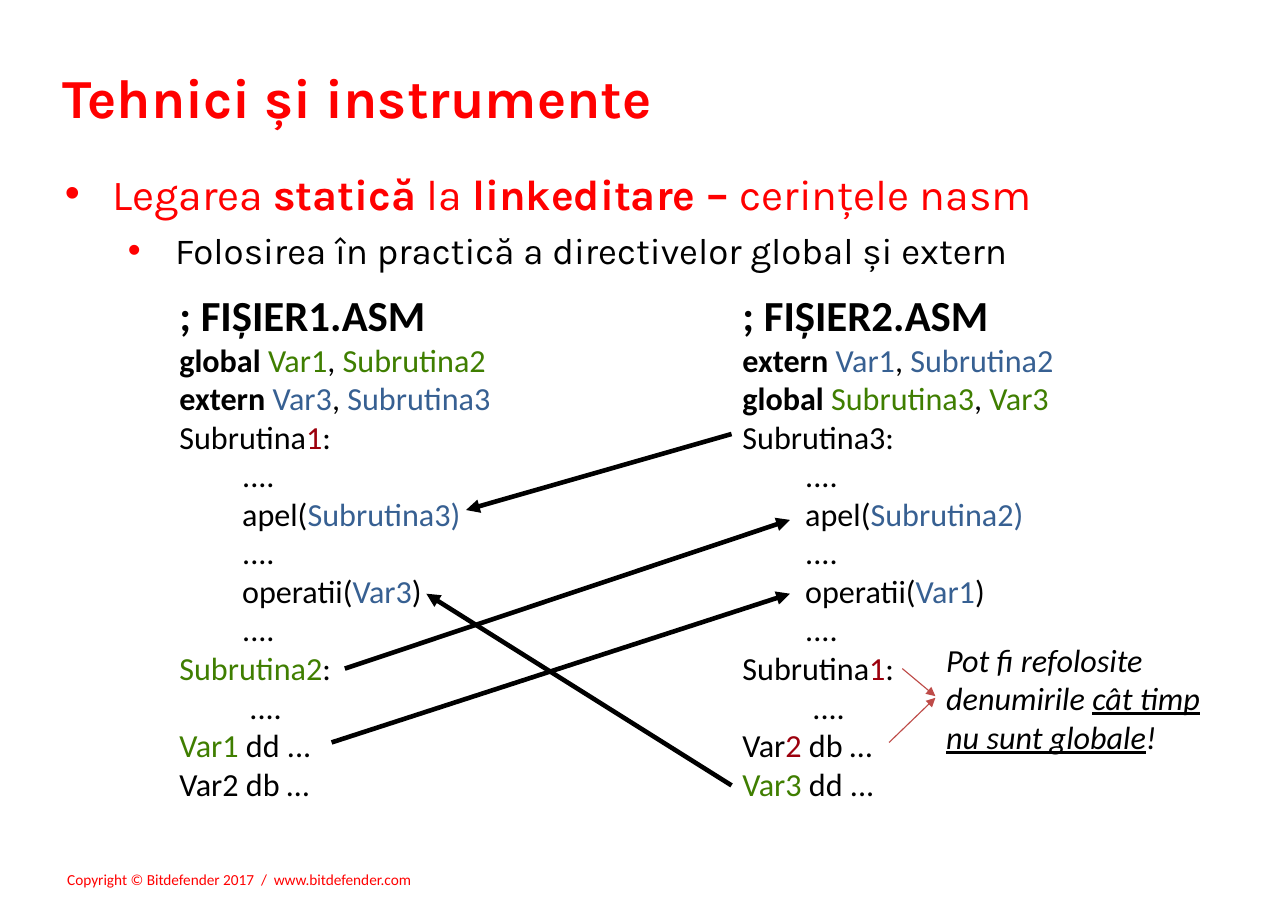
from lxml.etree import SubElement
from pptx import Presentation
from pptx.dml.color import RGBColor
from pptx.enum.shapes import MSO_CONNECTOR
from pptx.enum.text import MSO_ANCHOR, MSO_AUTO_SIZE, PP_ALIGN
from pptx.oxml.ns import qn
from pptx.util import Inches, Pt

RED, BLACK, GREEN, BLUE, DARK_RED, ROSE = "FF0000", "000000", "3F7E00", "376092", "9C000D", "BE4B48"


def add_run(p, text, size=21, color=BLACK, font="Calibri", bold=False, italic=False, underline=False):
    r = p.add_run()
    r.text = text
    f = r.font
    f.size, f.name, f.bold, f.italic, f.underline = Pt(size), font, bold, italic, underline
    f.color.rgb = RGBColor.from_string(color)


def add_box(left, top, width, height, wrap=True):
    sp = s.shapes.add_textbox(Inches(left), Inches(top), Inches(width), Inches(height))
    sp.text_frame.word_wrap = wrap
    return sp


prs = Presentation()
prs.slide_width, prs.slide_height = Inches(11.69), Inches(8.27)
s = prs.slides.add_slide(prs.slide_layouts[1])

title = s.shapes.title
title.left, title.top, title.width, title.height = Inches(0.47), Inches(0.48), Inches(8.9), Inches(0.79)
title.text_frame.vertical_anchor = MSO_ANCHOR.MIDDLE
title.text_frame.auto_size = MSO_AUTO_SIZE.NONE
p = title.text_frame.paragraphs[0]
p.alignment = PP_ALIGN.LEFT
add_run(p, "Tehnici și instrumente", size=36, color=RED, font="Karla", bold=True)

body = s.placeholders[1]
body.left, body.top, body.width, body.height = Inches(0.48), Inches(1.46), Inches(10.17), Inches(1.51)
tf = body.text_frame
tf.auto_size = MSO_AUTO_SIZE.NONE
tf.margin_left = tf.margin_right = Inches(0.11)
tf.margin_top = tf.margin_bottom = Inches(0.06)
bullets = [
    (0, 0.43, 0, 28, RED, [("Legarea ", False), ("statică", True), (" la ", False),
                           ("linkeditare – ", True), ("cerințele nasm", False)]),
    (1, 1, 6, 24, BLACK, [("Folosirea în practică a directivelor global și extern", False)]),
]
for i, (level, indent, before, size, color, runs) in enumerate(bullets):
    p = tf.add_paragraph() if i else tf.paragraphs[0]
    p.level = level
    p.space_before = Pt(before)
    pPr = p._p.get_or_add_pPr()
    pPr.set("marL", str(Inches(indent)))
    pPr.set("indent", str(Inches(-0.43)))
    SubElement(SubElement(pPr, qn("a:buClr")), qn("a:srgbClr")).set("val", RED)
    SubElement(pPr, qn("a:buChar")).set("char", "•")
    for text, bold in runs:
        add_run(p, text, size=size, color=color, font="Karla", bold=bold)

dots = [("\t....", BLACK)]
files = [
    (1.53, "; FIȘIER1.ASM", [
        [("global ", BLACK), ("Var1", GREEN), (", ", BLACK), ("Subrutina2", GREEN)],
        [("extern ", BLACK), ("Var3", BLUE), (", ", BLACK), ("Subrutina3", BLUE)],
        [("Subrutina", BLACK), ("1", DARK_RED), (":", BLACK)],
        dots,
        [("\tapel(", BLACK), ("Subrutina3)", BLUE)],
        dots,
        [("\toperatii(", BLACK), ("Var3", BLUE), (")", BLACK)],
        dots,
        [("Subrutina2", GREEN), (":", BLACK)],
        [("\t ....", BLACK)],
        [("Var1", GREEN), (" dd ...", BLACK)],
        [("Var2 db …", BLACK)],
    ]),
    (6.64, "; FIȘIER2.ASM", [
        [("extern ", BLACK), ("Var1", BLUE), (", ", BLACK), ("Subrutina2", BLUE)],
        [("global ", BLACK), ("Subrutina3", GREEN), (", ", BLACK), ("Var3", GREEN)],
        [("Subrutina3:", BLACK)],
        dots,
        [("\tapel(", BLACK), ("Subrutina2)", BLUE)],
        dots,
        [("\toperatii(", BLACK), ("Var1", BLUE), (")", BLACK)],
        dots,
        [("Subrutina", BLACK), ("1", DARK_RED), (":", BLACK)],
        [("\t ....", BLACK)],
        [("Var", BLACK), ("2", DARK_RED), (" db …", BLACK)],
        [("Var3", GREEN), (" dd ...", BLACK)],
    ]),
]
for left, heading, lines in files:
    tf = add_box(left, 2.57, 3.27, 4.77).text_frame
    add_run(tf.paragraphs[0], heading, size=28, bold=True)
    for line in lines:
        p = tf.add_paragraph()
        tab = SubElement(SubElement(p._p.get_or_add_pPr(), qn("a:tabLst")), qn("a:tab"))
        tab.set("pos", str(Inches(0.57)))
        tab.set("algn", "l")
        for text, color in line:
            add_run(p, text, color=color, bold=text in ("global ", "extern "))

note = add_box(8.49, 5.76, 2.74, 1.15)
p = note.text_frame.paragraphs[0]
add_run(p, "Pot fi refolosite denumirile ", italic=True)
add_run(p, "cât timp nu sunt globale", italic=True, underline=True)
add_run(p, "!", italic=True)

arrows = [
    (6.64, 3.94, 4.23, 4.63, BLACK, 3),
    (6.64, 7.13, 3.87, 5.39, BLACK, 3),
    (3.13, 6.07, 7.17, 4.72, BLACK, 3),
    (3.01, 6.74, 7.17, 5.39, BLACK, 3),
    (8.19, 6.07, 8.49, 6.32, ROSE, 0.75),
    (8.07, 6.74, 8.49, 6.34, ROSE, 0.75),
]
for x1, y1, x2, y2, color, width in arrows:
    arrow = s.shapes.add_connector(MSO_CONNECTOR.STRAIGHT, Inches(x1), Inches(y1), Inches(x2), Inches(y2))
    arrow.line.color.rgb = RGBColor.from_string(color)
    arrow.line.width = Pt(width)
    SubElement(arrow.line._get_or_add_ln(), qn("a:tailEnd")).set("type", "triangle")
    SubElement(arrow._element.spPr, qn("a:effectLst"))
arrow.end_connect(note, 1)

tf = add_box(0.5, 7.84, 3.39, 0.28, wrap=False).text_frame
tf.margin_left = tf.margin_right = Inches(0.11)
tf.margin_top = tf.margin_bottom = Inches(0.06)
add_run(tf.paragraphs[0], "Copyright © Bitdefender 2017  /  www.bitdefender.com", size=10, color=RED)

prs.save("out.pptx")
